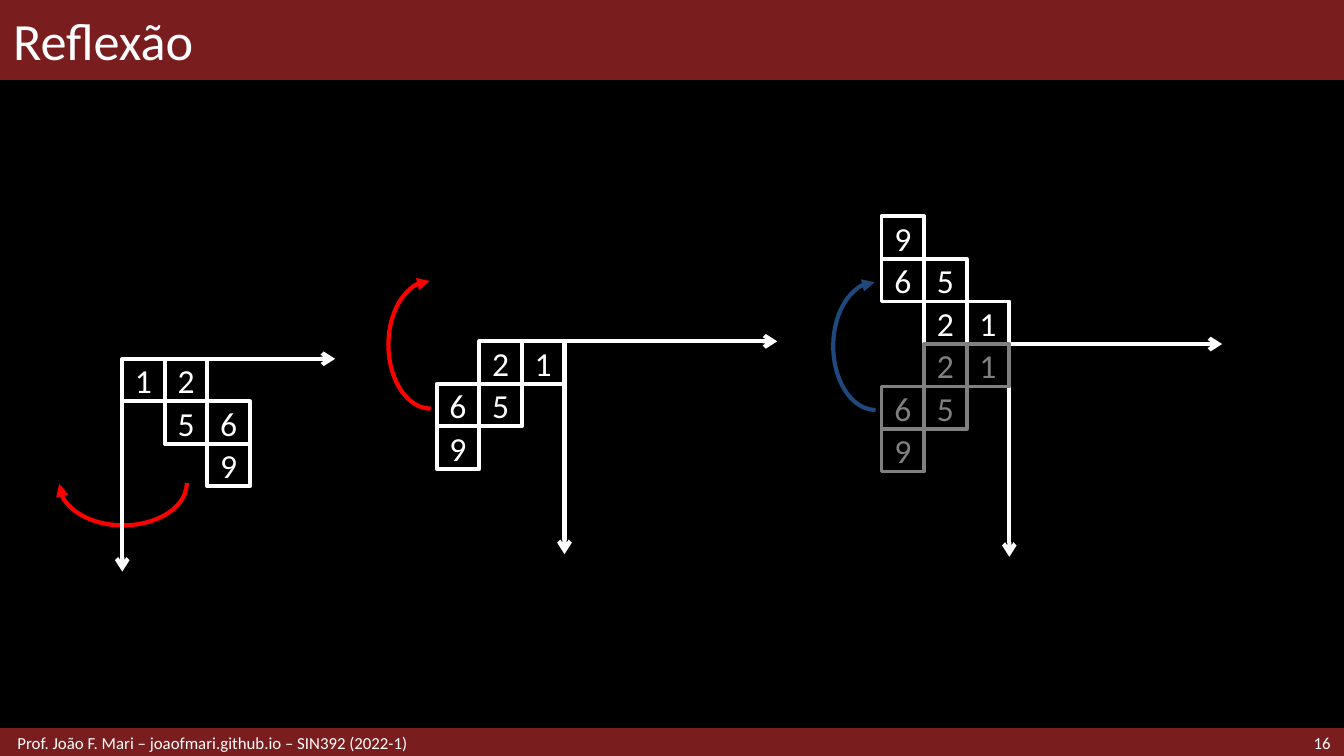
import pptx
import pptx.dml.color
import pptx.enum.shapes
import pptx.enum.text
import pptx.oxml.ns
import pptx.util
from lxml import etree
from pptx.util import Inches

COLORS = {
    "background": "000000",
    "bar": "791D1F",
    "white": "FFFFFF",
    "ghost": "808080",
    "red": "FF0000",
    "blue": "1F497D",
}
FONT = "Calibri"
WIDTH = 10
HEIGHT = WIDTH * 9 / 16
CELL = 0.95 / 3
AXIS = 5 * CELL
# Non-zero matrix entries: (column, row, value)
ENTRIES = [(0, 0, "1"), (1, 0, "2"), (1, 1, "5"), (2, 1, "6"), (2, 2, "9")]

SHAPE = pptx.enum.shapes.MSO_SHAPE
ALIGN = pptx.enum.text.PP_ALIGN
qn = pptx.oxml.ns.qn


class SlideBuilder:
    def __init__(self, slide):
        self.slide = slide
        fill = slide.background.fill
        fill.solid()
        fill.fore_color.rgb = self.color("background")

    def color(self, name):
        return pptx.dml.color.RGBColor.from_string(COLORS[name])

    def style_line(self, item, color, width, arrow_end=None, arrow_type=None):
        item.line.color.rgb = self.color(color)
        item.line.width = pptx.util.Pt(width)
        if arrow_end:
            line = item.line._get_or_add_ln()
            etree.SubElement(line, qn(arrow_end)).set("type", arrow_type)

    def style_text(self, shape, text, size, color, align, margin=0.0):
        frame = shape.text_frame
        frame.text = text
        frame.word_wrap = True
        frame.vertical_anchor = pptx.enum.text.MSO_ANCHOR.MIDDLE
        frame.margin_left = frame.margin_right = Inches(margin)
        frame.margin_top = frame.margin_bottom = 0
        paragraph = frame.paragraphs[0]
        paragraph.alignment = align
        for run in paragraph.runs:
            run.font.name = FONT
            run.font.size = pptx.util.Pt(size)
            run.font.color.rgb = self.color(color)

    def shape(self, kind, left, top, width, height):
        shape = self.slide.shapes.add_shape(
            kind, Inches(left), Inches(top), Inches(width), Inches(height))
        shape.shadow.inherit = False
        shape.fill.background()
        return shape

    def bar(self, top, height):
        bar = self.shape(SHAPE.RECTANGLE, 0, top, WIDTH, height)
        bar.fill.solid()
        bar.fill.fore_color.rgb = self.color("bar")
        self.style_line(bar, "bar", 1)

    def text(self, left, top, width, height, text, size, align=ALIGN.LEFT, margin=0.1):
        box = self.slide.shapes.add_textbox(
            Inches(left), Inches(top), Inches(width), Inches(height))
        self.style_text(box, text, size, "white", align, margin)

    def axes(self, x, y):
        for end_x, end_y in [(x, y + AXIS), (x + AXIS, y)]:
            axis = self.slide.shapes.add_connector(
                pptx.enum.shapes.MSO_CONNECTOR.STRAIGHT,
                Inches(x), Inches(y), Inches(end_x), Inches(end_y))
            self.style_line(axis, "white", 2.25, "a:tailEnd", "arrow")
            etree.SubElement(axis._element.spPr, qn("a:effectLst"))

    def cells(self, x, y, x_sign, y_sign, color="white"):
        for column, row, value in ENTRIES:
            # A mirrored cell starts one cell further from the axis
            left = x + CELL * (column if x_sign > 0 else -column - 1)
            top = y + CELL * (row if y_sign > 0 else -row - 1)
            cell = self.shape(SHAPE.RECTANGLE, left, top, CELL, CELL)
            self.style_line(cell, color, 2)
            self.style_text(cell, value, 18, color, ALIGN.CENTER)

    def turn_arrow(self, left, top, color, rotation=0):
        arc = self.shape(SHAPE.ARC, left, top, 0.95, 0.63)
        arc.adjustments[0] = 108.5
        arc.adjustments[1] = 0
        arc.rotation = rotation
        arc._element.spPr.find(qn("a:xfrm")).set("flipV", "1")
        self.style_line(arc, color, 2.25, "a:headEnd", "triangle")


def main():
    presentation = pptx.Presentation()
    presentation.slide_width = Inches(WIDTH)
    presentation.slide_height = Inches(HEIGHT)
    builder = SlideBuilder(
        presentation.slides.add_slide(presentation.slide_layouts[6]))

    # Title and footer
    builder.bar(0, 0.59)
    builder.bar(5.42, 0.21)
    builder.text(0, 0, WIDTH, 0.59, "Reflexão", 28)
    builder.text(8.86, 5.42, 1.14, 0.21, "16", 9, ALIGN.RIGHT)
    builder.text(0, 5.42, 6.89, 0.21,
                 "Prof. João F. Mari – joaofmari.github.io – SIN392 (2022-1)",
                 9, margin=0.13)

    # Initial matrix
    builder.turn_arrow(0.44, 3.28, "red")
    builder.axes(0.91, 2.67)
    builder.cells(0.91, 2.67, 1, 1)

    # Reflected across the vertical axis
    builder.axes(4.2, 2.54)
    builder.turn_arrow(2.73, 2.25, "red", 90)
    builder.cells(4.2, 2.54, -1, 1)

    # Reflected across both axes, with the previous step in grey
    builder.axes(7.51, 2.56)
    builder.cells(7.51, 2.56, -1, -1)
    builder.turn_arrow(6.04, 2.26, "blue", 90)
    builder.cells(7.51, 2.56, -1, 1, "ghost")

    presentation.save("out.pptx")


if __name__ == "__main__":
    main()
